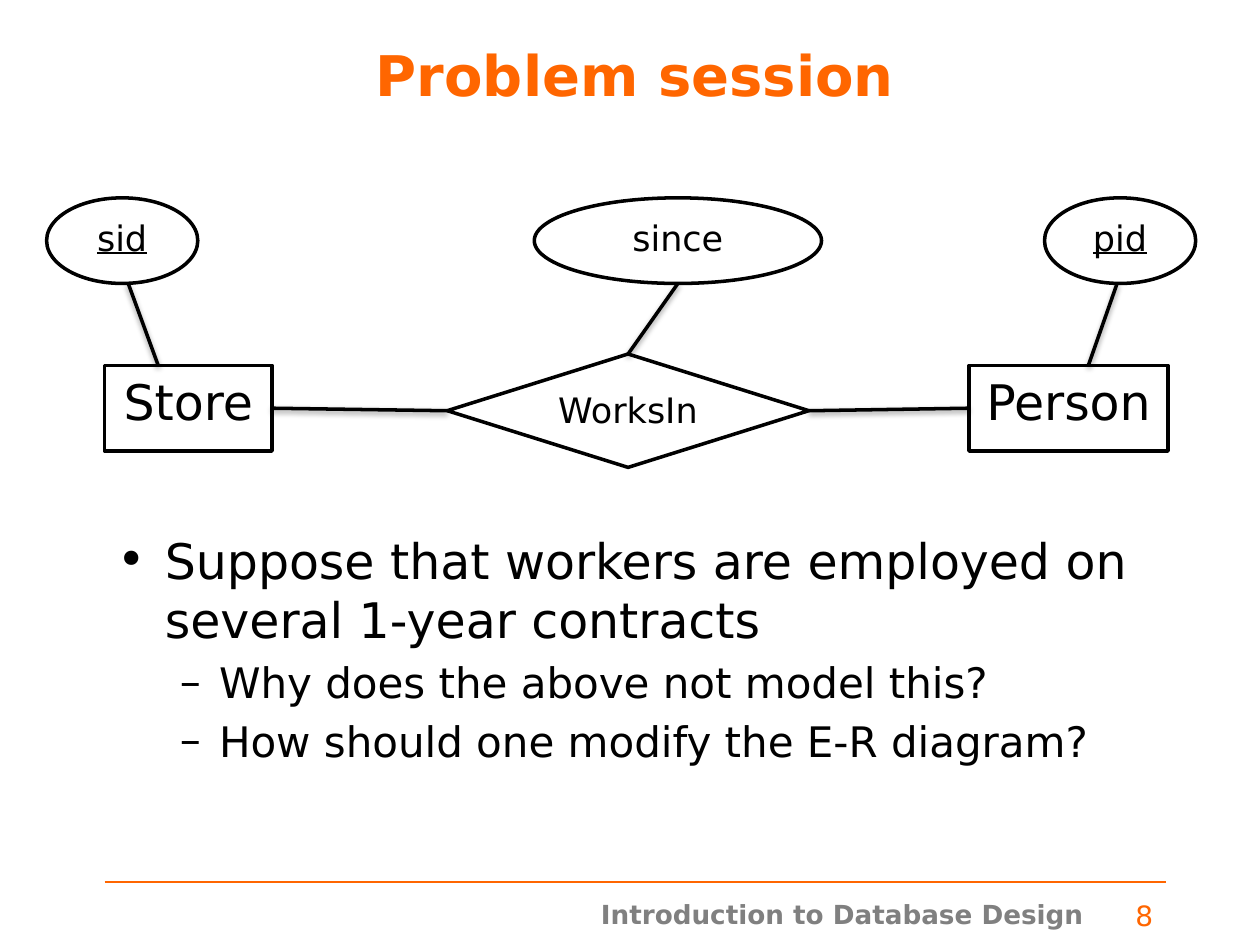
from lxml import etree
from pptx import Presentation
from pptx.dml.color import RGBColor
from pptx.enum.shapes import MSO_CONNECTOR, MSO_SHAPE
from pptx.enum.text import MSO_ANCHOR, PP_ALIGN
from pptx.oxml.ns import qn
from pptx.util import Inches, Pt

CENTER, RIGHT, LEFT = PP_ALIGN.CENTER, PP_ALIGN.RIGHT, PP_ALIGN.LEFT
TOP, MIDDLE = MSO_ANCHOR.TOP, MSO_ANCHOR.MIDDLE
ENTITY, ATTRIBUTE, RELATION = (
    MSO_SHAPE.FLOWCHART_PROCESS, MSO_SHAPE.OVAL, MSO_SHAPE.DIAMOND)


class Theme:
    font = "DejaVu Sans"
    black = RGBColor(0, 0, 0)
    white = RGBColor(255, 255, 255)
    accent = RGBColor(0xFF, 0x66, 0x00)
    grey = RGBColor(0x80, 0x80, 0x80)
    title, entity, label, page, footer = 32, 28, 20, 16, 15
    bullets = (28, 24)
    outline, rule = 2, 0.75


MARGIN, CONTENT_WIDTH = 0.83, 8.42

# name: (kind, (left, top, width, height), text size, is key)
NODES = {
    "WorksIn": (RELATION, (3.55, 2.81, 2.87, 0.9), Theme.label, False),
    "since": (ATTRIBUTE, (4.24, 1.57, 2.28, 0.68), Theme.label, False),
    "Store": (ENTITY, (MARGIN, 2.9, 1.33, 0.68), Theme.entity, False),
    "Person": (ENTITY, (7.69, 2.9, 1.58, 0.68), Theme.entity, False),
    "sid": (ATTRIBUTE, (0.37, 1.57, 1.2, 0.68), Theme.label, True),
    "pid": (ATTRIBUTE, (8.29, 1.57, 1.2, 0.68), Theme.label, True),
}
# (node, x share, y share) at both ends; shares run over the node's box
LINKS = [
    (("since", 0.5, 1), ("WorksIn", 0.5, 0)),
    (("WorksIn", 1, 0.5), ("Person", 0, 0.5)),
    (("WorksIn", 0, 0.5), ("Store", 1, 0.5)),
    (("pid", 0.48, 1), ("Person", 0.6, 0)),
    (("Store", 0.32, 0), ("sid", 0.54, 1)),
]
# (level, text)
BULLETS = [
    (0, "Suppose that workers are employed on several 1-year contracts"),
    (1, "Why does the above not model this?"),
    (1, "How should one modify the E-R diagram?"),
]
# level: (mark, text indent, hanging indent)
BULLET_STYLES = [("•", 0.38, -0.38), ("–", 0.81, -0.31)]


def add_run(paragraph, text, size, color=Theme.black, bold=False, underline=False):
    run = paragraph.add_run()
    run.text = text
    font = run.font
    font.name, font.size, font.bold = Theme.font, Pt(size), bold
    font.underline = underline
    font.color.rgb = color


def add_text_box(slide, box, anchor=TOP):
    frame = slide.shapes.add_textbox(*map(Inches, box)).text_frame
    frame.word_wrap = True
    frame.vertical_anchor = anchor
    return frame


def add_line(slide, start, end, color, width, shadow=False):
    line = slide.shapes.add_connector(
        MSO_CONNECTOR.STRAIGHT, *map(Inches, start + end))
    line.line.color.rgb = color
    line.line.width = Pt(width)
    effects = etree.SubElement(line._element.spPr, qn("a:effectLst"))
    if shadow:
        outer = etree.SubElement(effects, qn("a:outerShdw"), blurRad="40000",
                                 dist="20000", dir="5400000", rotWithShape="0")
        shade = etree.SubElement(outer, qn("a:srgbClr"), val=str(Theme.black))
        etree.SubElement(shade, qn("a:alpha"), val="38000")


def add_node(slide, name, kind, box, size, is_key):
    shape = slide.shapes.add_shape(kind, *map(Inches, box))
    shape.shadow.inherit = False
    shape.fill.solid()
    shape.fill.fore_color.rgb = Theme.white
    shape.line.color.rgb = Theme.black
    shape.line.width = Pt(Theme.outline)
    frame = shape.text_frame
    frame.vertical_anchor = TOP
    paragraph = frame.paragraphs[0]
    paragraph.alignment = CENTER
    add_run(paragraph, name, size, underline=is_key)


def node_point(name, x_share, y_share):
    left, top, width, height = NODES[name][1]
    return left + x_share * width, top + y_share * height


def add_bullets(slide):
    frame = add_text_box(slide, (MARGIN, 4.16, CONTENT_WIDTH, 2.76))
    for index, (level, text) in enumerate(BULLETS):
        paragraph = frame.add_paragraph() if index else frame.paragraphs[0]
        paragraph.level = level
        mark, indent, hanging = BULLET_STYLES[level]
        properties = paragraph._p.get_or_add_pPr()
        properties.set("marL", str(Inches(indent)))
        properties.set("indent", str(Inches(hanging)))
        before = etree.SubElement(properties, qn("a:spcBef"))
        etree.SubElement(before, qn("a:spcPct"), val="20000")
        etree.SubElement(properties, qn("a:buFont"), typeface=Theme.font)
        etree.SubElement(properties, qn("a:buChar"), char=mark)
        add_run(paragraph, text, Theme.bullets[level])


def add_label(slide, text, box, size, color, alignment, bold=False, anchor=TOP):
    paragraph = add_text_box(slide, box, anchor).paragraphs[0]
    paragraph.alignment = alignment
    add_run(paragraph, text, size, color, bold)


def main():
    presentation = Presentation()
    presentation.slide_width, presentation.slide_height = Inches(10), Inches(7.5)
    slide = presentation.slides.add_slide(presentation.slide_layouts[6])

    add_label(slide, "Introduction to Database Design", (4.63, 7.08, 4.11, 0.35),
              Theme.footer, Theme.grey, CENTER, bold=True)
    add_line(slide, (MARGIN, 7), (MARGIN + CONTENT_WIDTH, 7),
             Theme.accent, Theme.rule)
    add_label(slide, "Problem session", (MARGIN, 0, CONTENT_WIDTH, 1.17),
              Theme.title, Theme.accent, CENTER, bold=True, anchor=MIDDLE)
    add_bullets(slide)
    add_label(slide, "8", (8.58, 7.08, 0.67, 0.42),
              Theme.page, Theme.accent, RIGHT)

    for name, node in NODES.items():
        add_node(slide, name, *node)
    for start, end in LINKS:
        add_line(slide, node_point(*start), node_point(*end),
                 Theme.black, Theme.outline, shadow=True)

    presentation.save("out.pptx")


if __name__ == "__main__":
    main()
